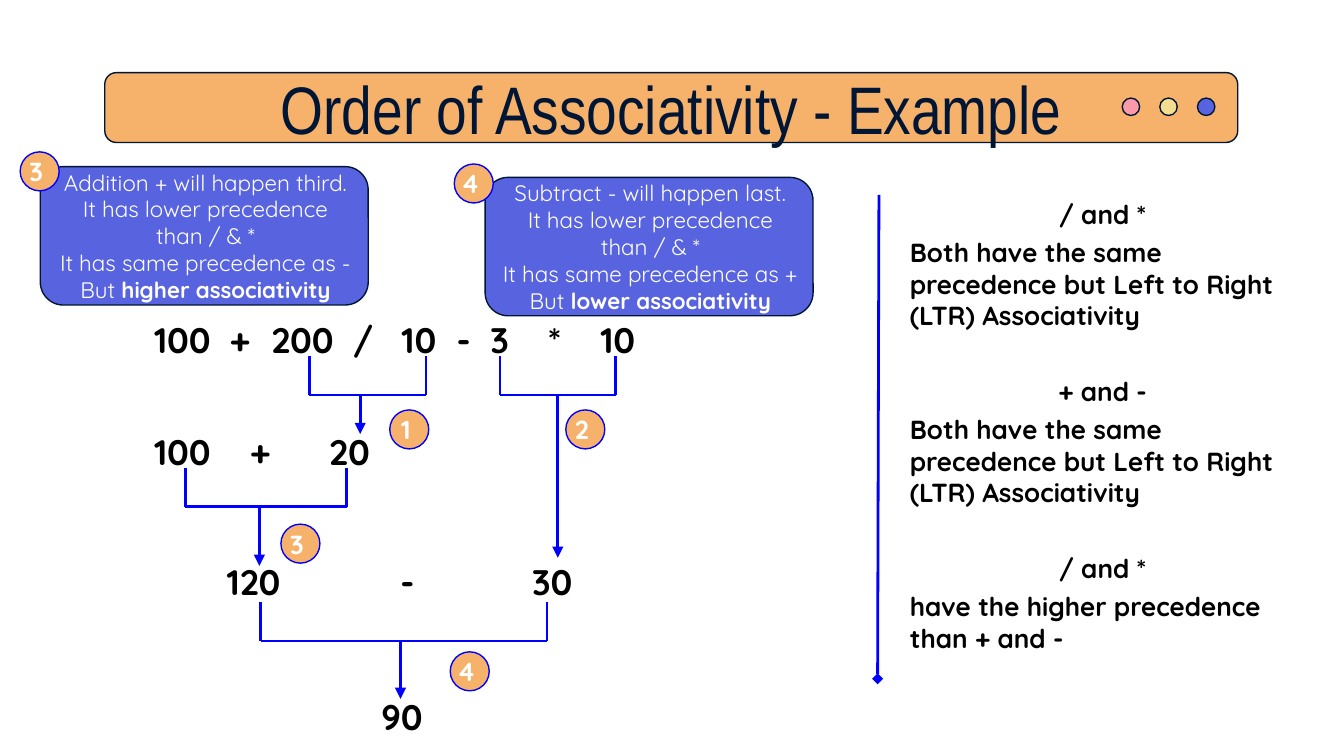
import lxml.etree
import pptx
import pptx.dml.color
import pptx.enum.shapes
import pptx.enum.text
import pptx.oxml.ns
import pptx.util

Inches = pptx.util.Inches
Pt = pptx.util.Pt
SHAPE = pptx.enum.shapes.MSO_SHAPE
ALIGN = pptx.enum.text.PP_ALIGN
ANCHOR = pptx.enum.text.MSO_ANCHOR

COLORS = {
    "orange": "F6B26B", "navy": "011635", "indigo": "5863E0", "pink": "F99AAA",
    "yellow": "F4DC90", "blue": "0000FF", "white": "FFFFFF", "black": "000000",
}
BODY_FONT = "Quicksand"
TITLE = "Order of Associativity - Example"
TITLE_DOTS = ["pink", "yellow", "indigo"]

CALLOUTS = [
    (0.3, 1.24, ["Addition + will happen third.",
                 "It has lower precedence than / & *",
                 "It has same precedence as -"], "higher associativity"),
    (3.61, 1.32, ["Subtract - will happen last.",
                  "It has lower precedence than / & *",
                  "It has same precedence as +"], "lower associativity"),
]
EXPRESSIONS = [
    (1.05, 2.27, 4.25, ["100", "+", "200", "/", "10", "-", "3", "*", "10"],
     [0.56, 0.87, 1.48, 1.84, 2.25, 2.5, 2.93, 3.32]),
    (1.05, 3.1, 1.98, ["100", "+", "20"], [0.71, 1.3]),
    (1.59, 4.07, 3.41, ["120", "-", "30"], [1.29, 2.27]),
    (2.74, 5.07, 0.7, ["90"], []),
]
BRACKETS = [
    {"left": 2.3, "right": 3.17, "top": 2.65, "bar": 2.94, "stem": 2.68, "tip": 3.23},
    {"left": 3.72, "right": 4.58, "top": 2.65, "bar": 2.94, "stem": 4.15, "tip": 4.15},
    {"left": 1.38, "right": 2.58, "top": 3.48, "bar": 3.77, "stem": 1.93, "tip": 4.21},
    {"left": 1.94, "right": 4.07, "top": 4.48, "bar": 4.77, "stem": 2.98, "tip": 5.2},
]
STEPS = [("1", 2.9, 3.05), ("2", 4.21, 3.05), ("3", 2.09, 3.9), ("4", 3.35, 4.85),
         ("3", 0.15, 1.13), ("4", 3.38, 1.22)]
RULES = [
    ("/ and *", "Both have the same precedence but Left to Right (LTR) Associativity"),
    ("+ and -", "Both have the same precedence but Left to Right (LTR) Associativity"),
    ("/ and *", "have the higher precedence than + and -"),
]


def rgb(name):
    return pptx.dml.color.RGBColor.from_string(COLORS[name])


def style(run, size, color, bold=False, font=BODY_FONT):
    run.font.size = Pt(size)
    run.font.name = font
    run.font.bold = bold
    run.font.color.rgb = rgb(color)


def set_frame(frame, margins, anchor=ANCHOR.MIDDLE):
    frame.word_wrap = True
    frame.vertical_anchor = anchor
    (frame.margin_left, frame.margin_top,
     frame.margin_right, frame.margin_bottom) = [Inches(m) for m in margins]


def add_box(slide, kind, left, top, width, height, fill, line):
    box = slide.shapes.add_shape(kind, Inches(left), Inches(top), Inches(width), Inches(height))
    box.shadow.inherit = False
    box.fill.solid()
    box.fill.fore_color.rgb = rgb(fill)
    box.line.color.rgb = rgb(line)
    box.line.width = Pt(0.75)
    set_frame(box.text_frame, (0, 0, 0, 0))
    return box


def add_line(slide, x1, y1, x2, y2, tail=None):
    line = slide.shapes.add_connector(pptx.enum.shapes.MSO_CONNECTOR.STRAIGHT,
                                      Inches(x1), Inches(y1), Inches(x2), Inches(y2))
    line.line.color.rgb = rgb("blue")
    line.line.width = Pt(1.5)
    if tail:
        end = lxml.etree.SubElement(line.line._get_or_add_ln(), pptx.oxml.ns.qn("a:tailEnd"))
        end.set("type", tail)
    lxml.etree.SubElement(line._element.spPr, pptx.oxml.ns.qn("a:effectLst"))


def add_title(slide):
    banner = add_box(slide, SHAPE.ROUNDED_RECTANGLE, 0.78, 0.54, 8.43, 0.52, "orange", "navy")
    paragraph = banner.text_frame.paragraphs[0]
    paragraph.text = TITLE
    paragraph.alignment = ALIGN.CENTER
    style(paragraph.runs[0], 36, "navy", font="Arial Narrow")
    for i, color in enumerate(TITLE_DOTS):
        add_box(slide, SHAPE.OVAL, 8.35 + 0.28 * i, 0.73, 0.13, 0.13, color, "navy")


def add_callout(slide, left, top, lines, emphasis):
    callout = add_box(slide, SHAPE.ROUNDED_RECTANGLE, left, top, 2.44, 1.03, "indigo", "navy")
    frame = callout.text_frame
    set_frame(frame, (0.03, 0, 0.01, 0))
    frame.text = "\n".join(lines + ["But "])
    frame.paragraphs[-1].add_run().text = emphasis
    for paragraph in frame.paragraphs:
        paragraph.alignment = ALIGN.CENTER
        for run in paragraph.runs:
            style(run, 12, "white", bold=run.text == emphasis)


def add_expression(slide, left, top, width, terms, stops):
    row = slide.shapes.add_textbox(Inches(left), Inches(top), Inches(width), Inches(0.52))
    set_frame(row.text_frame, (0.1, 0.1, 0.1, 0.1), ANCHOR.TOP)
    paragraph = row.text_frame.paragraphs[0]
    paragraph.text = "\t".join(terms)
    style(paragraph.runs[0], 19, "black", bold=True)
    if stops:
        tabs = lxml.etree.SubElement(paragraph._p.get_or_add_pPr(), pptx.oxml.ns.qn("a:tabLst"))
        for stop in stops:
            tab = lxml.etree.SubElement(tabs, pptx.oxml.ns.qn("a:tab"))
            tab.set("pos", str(Inches(stop)))
            tab.set("algn", "l")


def add_bracket(slide, left, right, top, bar, stem, tip):
    for side in (left, right):
        add_line(slide, side, bar, side, top)
    add_line(slide, left, bar, right, bar)
    add_line(slide, stem, bar, stem, tip, "triangle")


def add_step(slide, number, left, top):
    badge = add_box(slide, SHAPE.OVAL, left, top, 0.29, 0.29, "orange", "blue")
    set_frame(badge.text_frame, (0, 0, 0.05, 0))
    badge.text_frame.word_wrap = False
    paragraph = badge.text_frame.paragraphs[0]
    paragraph.text = number
    paragraph.alignment = ALIGN.CENTER
    style(paragraph.runs[0], 14, "white", bold=True)


def add_rules(slide):
    notes = slide.shapes.add_textbox(Inches(6.77), Inches(1.43), Inches(2.87), Inches(3.48))
    frame = notes.text_frame
    set_frame(frame, (0, 0, 0, 0))
    frame.text = "\n".join(text for rule in RULES for text in rule)
    for i, paragraph in enumerate(frame.paragraphs):
        is_heading = i % 2 == 0
        paragraph.alignment = ALIGN.CENTER if is_heading else ALIGN.LEFT
        paragraph.space_before = Pt(24 if is_heading and i else 3.6)
        style(paragraph.runs[0], 14, "black", bold=True)


def main():
    deck = pptx.Presentation()
    deck.slide_width = Inches(10)
    deck.slide_height = deck.slide_width * 9 // 16
    slide = deck.slides.add_slide(deck.slide_layouts[6])
    add_title(slide)
    add_rules(slide)
    add_line(slide, 6.54, 1.45, 6.53, 5.05, "diamond")
    for expression in EXPRESSIONS:
        add_expression(slide, *expression)
    for callout in CALLOUTS:
        add_callout(slide, *callout)
    for bracket in BRACKETS:
        add_bracket(slide, **bracket)
    for step in STEPS:
        add_step(slide, *step)
    deck.save("out.pptx")


if __name__ == "__main__":
    main()
